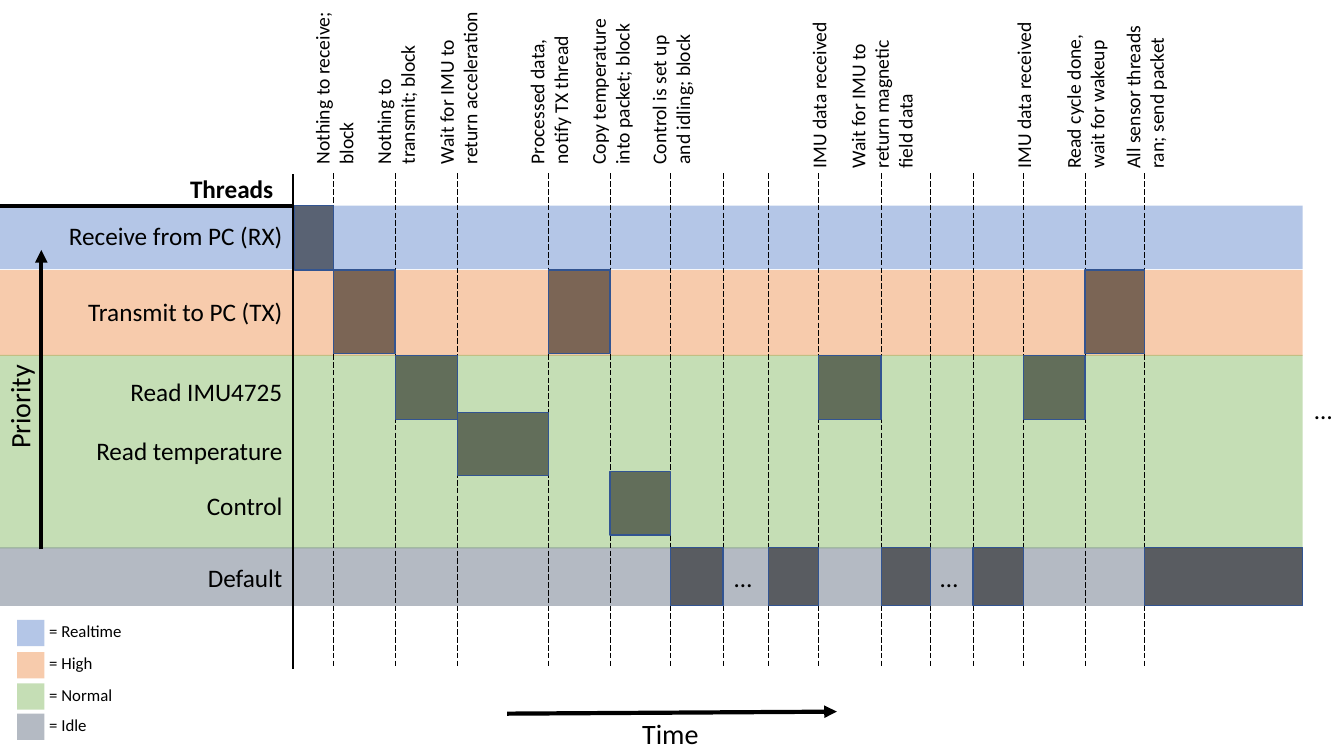
from dataclasses import dataclass
from itertools import pairwise

import pptx
import pptx.dml.color
import pptx.enum.dml
import pptx.enum.shapes
import pptx.enum.text
import pptx.oxml.ns
import pptx.util
from lxml import etree

Inches = pptx.util.Inches
ALIGN = pptx.enum.text.PP_ALIGN
NS_QN = pptx.oxml.ns.qn
BLACK, BLOCK_EDGE = "000000", "325491"
AXIS_X, BAND_RIGHT = 2.91, 12.92
LINE_TOP, LINE_BOTTOM = 1.72, 6.62


@dataclass
class Priority:
    """A priority level: its colour, band and legend row."""
    name: str
    color: str
    top: float
    height: float
    legend_top: float


@dataclass
class Thread:
    """A thread: its label and the row its blocks stand in."""
    label: str
    label_top: float
    top: float
    height: float


@dataclass
class Slot:
    """A span of time: its start, the running thread and the event that opens it."""
    start: float
    thread: str | None
    event: str = ""
    lines: int = 2


PRIORITIES = [
    Priority("Realtime", "4472C4", 2.04, 0.63, 6.15),
    Priority("High", "ED7D31", 2.68, 0.85, 6.47),
    Priority("Normal", "70AD47", 3.52, 1.92, 6.78),
    Priority("Idle", "44546A", 5.43, 0.58, 7.08),
]
THREADS = {
    "rx": Thread("Receive from PC (RX)", 2.14, 2.04, 0.64),
    "tx": Thread("Transmit to PC (TX)", 2.89, 2.68, 0.83),
    "imu": Thread("Read IMU4725", 3.68, 3.53, 0.63),
    "temperature": Thread("Read temperature", 4.27, 4.09, 0.63),
    "control": Thread("Control", 4.82, 4.68, 0.63),
    "default": Thread("Default", 5.53, 5.43, 0.58),
}
SLOTS = [
    Slot(2.92, "rx"),
    Slot(3.31, "tx", "Nothing to receive; block"),
    Slot(3.92, "imu", "Nothing to transmit; block"),
    Slot(4.54, "temperature", "Wait for IMU to return acceleration"),
    Slot(5.44, "tx", "Processed data, notify TX thread"),
    Slot(6.05, "control", "Copy temperature into packet; block"),
    Slot(6.65, "default", "Control is set up and idling; block"),
    Slot(7.17, None),
    Slot(7.62, "default"),
    Slot(8.12, "imu", "IMU data received", 1),
    Slot(8.74, "default", "Wait for IMU to return magnetic field data", 3),
    Slot(9.23, None),
    Slot(9.65, "default"),
    Slot(10.15, "imu", "IMU data received", 1),
    Slot(10.76, "tx", "Read cycle done, wait for wakeup"),
    Slot(11.35, "default", "All sensor threads ran; send packet"),
]


def rgb(color: str) -> pptx.dml.color.RGBColor:
    """Turn a hex string into a colour."""
    return pptx.dml.color.RGBColor.from_string(color)


def add_box(s, x: float, y: float, w: float, h: float, color: str,
            alpha: int, edge: str | None = None) -> None:
    """Draw a see-through rectangle; alpha is its opacity in percent."""
    sp = s.shapes.add_shape(pptx.enum.shapes.MSO_SHAPE.RECTANGLE,
                            Inches(x), Inches(y), Inches(w), Inches(h))
    sp.shadow.inherit = False
    sp.fill.solid()
    sp.fill.fore_color.rgb = rgb(color)
    clr = sp.fill._xPr.find(".//" + NS_QN("a:srgbClr"))
    etree.SubElement(clr, NS_QN("a:alpha"), val=str(alpha * 1000))
    if edge:
        sp.line.color.rgb = rgb(edge)
        sp.line.width = pptx.util.Pt(1)
    else:
        sp.line.fill.background()


def add_line(s, x1: float, y1: float, x2: float, y2: float, width: float,
             dashed: bool = False, arrow: bool = False) -> None:
    """Draw a black straight line, dashed or with an arrowhead if asked."""
    sp = s.shapes.add_connector(pptx.enum.shapes.MSO_CONNECTOR.STRAIGHT,
                                Inches(x1), Inches(y1), Inches(x2), Inches(y2))
    sp.line.color.rgb = rgb(BLACK)
    sp.line.width = pptx.util.Pt(width)
    if dashed:
        sp.line.dash_style = pptx.enum.dml.MSO_LINE.LONG_DASH
    if arrow:
        etree.SubElement(sp.line._get_or_add_ln(), NS_QN("a:tailEnd"), type="triangle")
    etree.SubElement(sp._element.spPr, NS_QN("a:effectLst"))


def add_text(s, text: str, x: float, y: float, w: float, size: int, lines: int = 1,
             align: ALIGN = ALIGN.LEFT, bold: bool = False):
    """Add a text box as high as its lines and return it."""
    sp = s.shapes.add_textbox(Inches(x), Inches(y), Inches(w),
                              Inches(0.1 + lines * size / 60))
    tf = sp.text_frame
    tf.word_wrap = True
    tf.auto_size = pptx.enum.text.MSO_AUTO_SIZE.SHAPE_TO_FIT_TEXT
    p = tf.paragraphs[0]
    p.text = text
    p.alignment = align
    p.font.name = "Calibri"
    p.font.size = pptx.util.Pt(size)
    p.font.bold = bold
    p.font.color.rgb = rgb(BLACK)
    return sp


def add_upright_text(s, text: str, center: float, bottom: float, length: float,
                     size: int, lines: int = 1) -> None:
    """Add text that reads upwards from bottom, centred on a vertical line."""
    height = 0.1 + lines * size / 60
    sp = add_text(s, text, center - length / 2, bottom - (length + height) / 2,
                  length, size, lines)
    sp.rotation = 270


def add_priorities(s) -> None:
    """Draw the priority bands and their legend."""
    for level in PRIORITIES:
        add_box(s, 0, level.top, BAND_RIGHT, level.height, level.color, 40)
        add_box(s, 0.17, level.legend_top, 0.27, 0.26, level.color, 40)
        add_text(s, f"= {level.name}", 0.39, level.legend_top - 0.04, 1.66, 12)


def add_axes(s) -> None:
    """Draw the axes, their names and the thread labels."""
    add_line(s, AXIS_X, 1.73, AXIS_X, 6.64, 1.5)
    add_line(s, 0, 2.04, AXIS_X, 2.04, 3)
    add_line(s, 5.03, 7.08, 8.3, 7.06, 3, arrow=True)
    add_text(s, "Time", 6.27, 7.06, 0.79, 20)
    add_line(s, 0.41, 5.45, 0.41, 2.48, 3, arrow=True)
    add_upright_text(s, "Priority", 0.19, 4.55, 1.09, 20)
    add_text(s, "Threads", 1.5, 1.67, 1.31, 18, align=ALIGN.RIGHT, bold=True)
    for thread in THREADS.values():
        add_text(s, thread.label, 0.4, thread.label_top, 2.5, 18, align=ALIGN.RIGHT)


def add_schedule(s) -> None:
    """Draw the event lines and labels, then the blocks of running threads."""
    for slot in SLOTS[1:]:
        add_line(s, slot.start, LINE_TOP, slot.start, LINE_BOTTOM, 0.5, dashed=True)
        if slot.event:
            add_upright_text(s, slot.event, slot.start, 1.73 if slot.start < 7 else 1.77,
                             2.01 if slot.lines == 1 else 1.73, 14, slot.lines)
    edges = [slot.start for slot in SLOTS] + [BAND_RIGHT]
    for slot, (start, end) in zip(SLOTS, pairwise(edges)):
        if slot.thread:
            thread = THREADS[slot.thread]
            add_box(s, start, thread.top, end - start, thread.height, BLACK, 50, BLOCK_EDGE)
        else:
            add_text(s, "…", (start + end) / 2 - 0.21, 5.53, 0.33, 18)
    add_text(s, "…", 12.94, 3.86, 0.33, 18)


prs = pptx.Presentation()
prs.slide_width, prs.slide_height = Inches(13.33), Inches(7.5)
slide = prs.slides.add_slide(prs.slide_layouts[6])
add_priorities(slide)
add_axes(slide)
add_schedule(slide)
prs.save("out.pptx")
